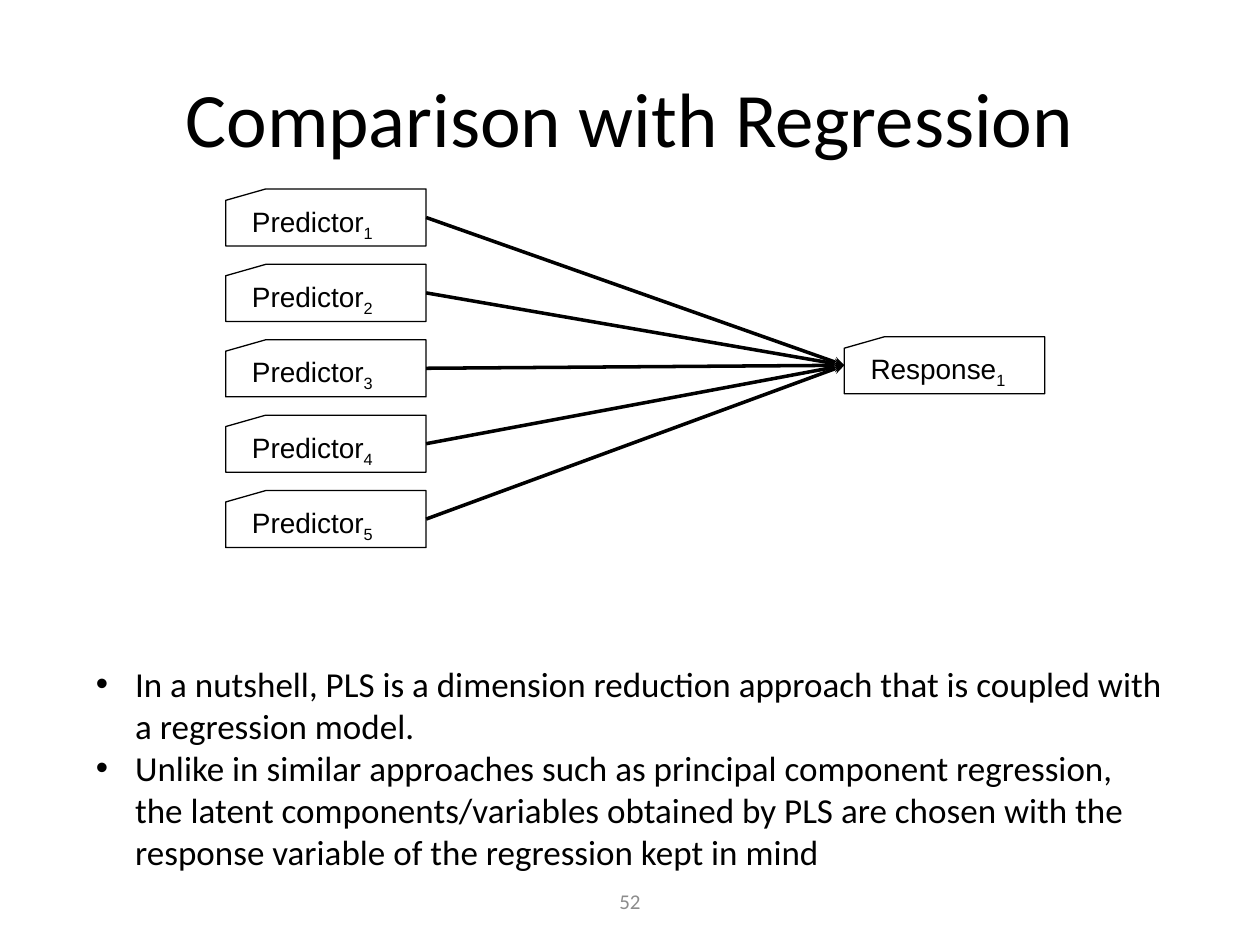
from dataclasses import dataclass

from lxml.etree import SubElement
from pptx import Presentation
from pptx.dml.color import RGBColor
from pptx.enum.shapes import MSO_CONNECTOR, MSO_SHAPE
from pptx.enum.text import MSO_ANCHOR, MSO_AUTO_SIZE, PP_ALIGN
from pptx.oxml.ns import qn
from pptx.util import Cm, Pt


@dataclass(frozen=True)
class Theme:
    ink: RGBColor = RGBColor(0x00, 0x00, 0x00)
    muted: RGBColor = RGBColor(0x8C, 0x8C, 0x8C)
    text_font: str = "Calibri"
    label_font: str = "Arial"
    title_size: int = 44
    body_size: int = 20
    label_size: int = 16
    number_size: int = 12
    outline: float = 0.75
    arrow: float = 2


def add_text(p, text, font, size, color, baseline=None):
    r = p.add_run()
    r.text = text
    r.font.name = font
    r.font.size = Pt(size)
    r.font.color.rgb = color
    if baseline:
        r.font._element.set("baseline", str(baseline * 1000))
    return r


class SlideBuilder:
    def __init__(self, s, theme):
        self.s = s
        self.theme = theme

    def place(self, sp, left, top, width, height):
        sp.left, sp.top, sp.width, sp.height = map(Cm, (left, top, width, height))

    def title(self, text, *box):
        t = self.theme
        sp = self.s.shapes.title
        self.place(sp, *box)
        tf = sp.text_frame
        tf.auto_size = MSO_AUTO_SIZE.NONE
        tf.vertical_anchor = MSO_ANCHOR.MIDDLE
        p = tf.paragraphs[0]
        p.alignment = PP_ALIGN.CENTER
        add_text(p, text, t.text_font, t.title_size, t.ink)

    def bullets(self, items, *box):
        t = self.theme
        sp = self.s.placeholders[1]
        self.place(sp, *box)
        tf = sp.text_frame
        tf.auto_size = MSO_AUTO_SIZE.NONE
        for i, item in enumerate(items):
            p = tf.add_paragraph() if i else tf.paragraphs[0]
            p.space_before = Pt(0)
            pPr = p._p.get_or_add_pPr()
            pPr.set("marL", str(Cm(0.79)))
            pPr.set("indent", str(-Cm(0.79)))
            add_text(p, item, t.text_font, t.body_size, t.ink)

    def card(self, name, index, left, top):
        t = self.theme
        grp = self.s.shapes.add_group_shape()
        sp = grp.shapes.add_shape(
            MSO_SHAPE.FLOWCHART_CARD, Cm(left), Cm(top), Cm(4.04), Cm(1.15))
        sp.shadow.inherit = False
        sp.fill.background()
        sp.line.color.rgb = t.ink
        sp.line.width = Pt(t.outline)
        label = grp.shapes.add_textbox(
            Cm(left + 0.28), Cm(top + 0.18), Cm(3.3), Cm(0.94))
        tf = label.text_frame
        tf.word_wrap = False
        p = tf.paragraphs[0]
        p.alignment = PP_ALIGN.LEFT
        add_text(p, name, t.label_font, t.label_size, t.ink)
        add_text(p, str(index), t.label_font, t.label_size, t.ink, baseline=-25)
        return sp

    def arrow(self, source, target):
        cx = self.s.shapes.add_connector(MSO_CONNECTOR.STRAIGHT, 0, 0, 0, 0)
        cx.begin_connect(source, 3)
        cx.end_connect(target, 1)
        cx.line.color.rgb = self.theme.ink
        cx.line.width = Pt(self.theme.arrow)
        SubElement(cx.line._get_or_add_ln(), qn("a:tailEnd"), type="stealth")
        SubElement(cx._element.spPr, qn("a:effectLst"))

    def page_number(self, text, *box):
        t = self.theme
        sp = self.s.shapes.add_textbox(*map(Cm, box))
        tf = sp.text_frame
        tf.word_wrap = True
        tf.vertical_anchor = MSO_ANCHOR.MIDDLE
        p = tf.paragraphs[0]
        p.alignment = PP_ALIGN.CENTER
        add_text(p, text, t.text_font, t.number_size, t.muted)


def main():
    prs = Presentation()
    prs.slide_width, prs.slide_height = Cm(25.4), Cm(19.05)
    slide = SlideBuilder(prs.slides.add_slide(prs.slide_layouts[1]), Theme())

    slide.title("Comparison with Regression", 1.27, 0.76, 22.86, 3.18)
    predictors = [
        slide.card("Predictor", i + 1, 4.55, 3.81 + 1.52 * i) for i in range(5)]
    response = slide.card("Response", 1, 17.02, 6.79)
    for predictor in predictors:
        slide.arrow(predictor, response)
    slide.bullets([
        "In a nutshell, PLS is a dimension reduction approach that is coupled "
        "with a regression model.",
        "Unlike in similar approaches such as principal component regression, "
        "the latent components/variables obtained by PLS are chosen with the "
        "response variable of the regression kept in mind",
    ], 1.68, 13.23, 22.07, 4.52)
    slide.page_number("52", 8.68, 17.66, 8.04, 1.01)

    prs.save("out.pptx")


if __name__ == "__main__":
    main()
